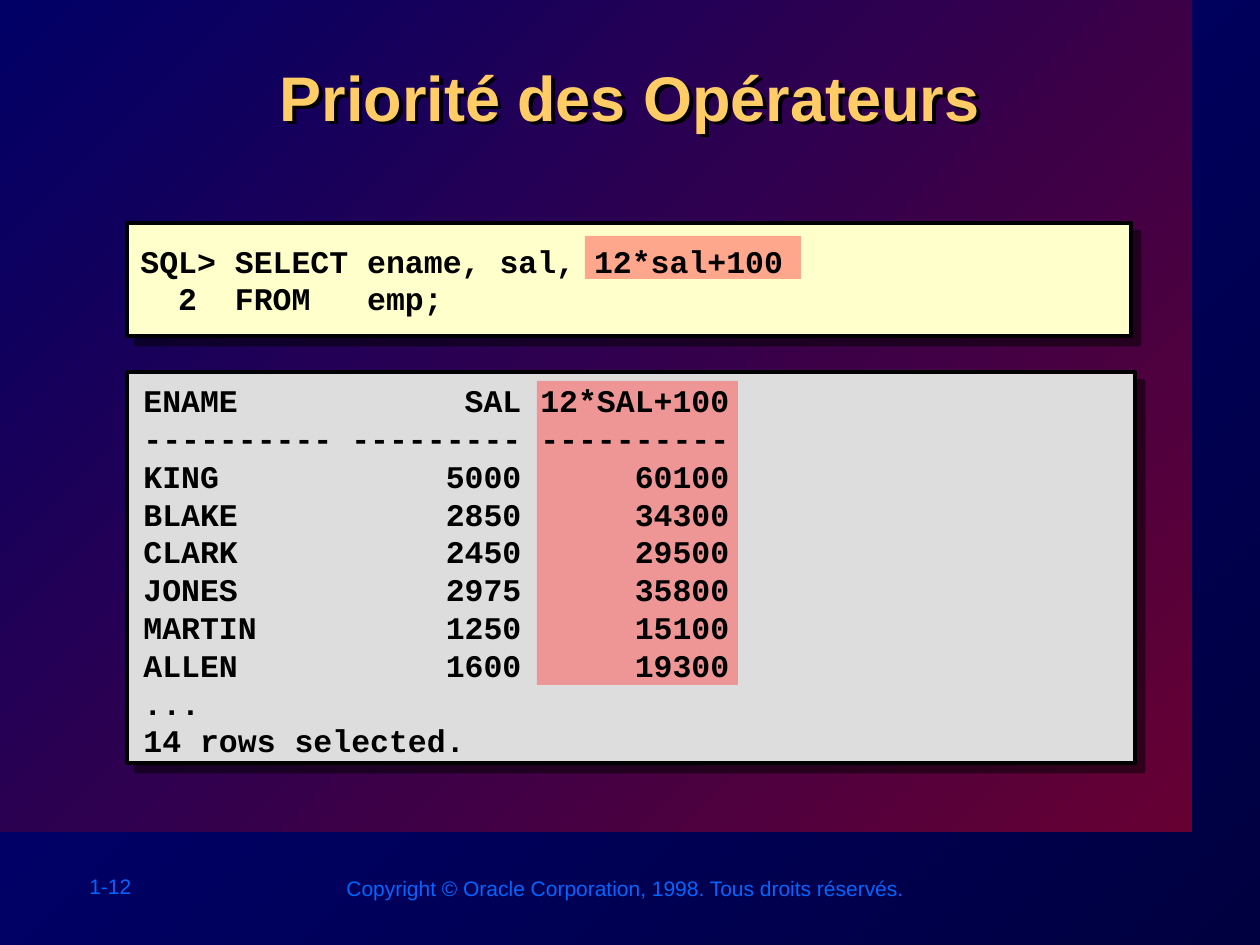
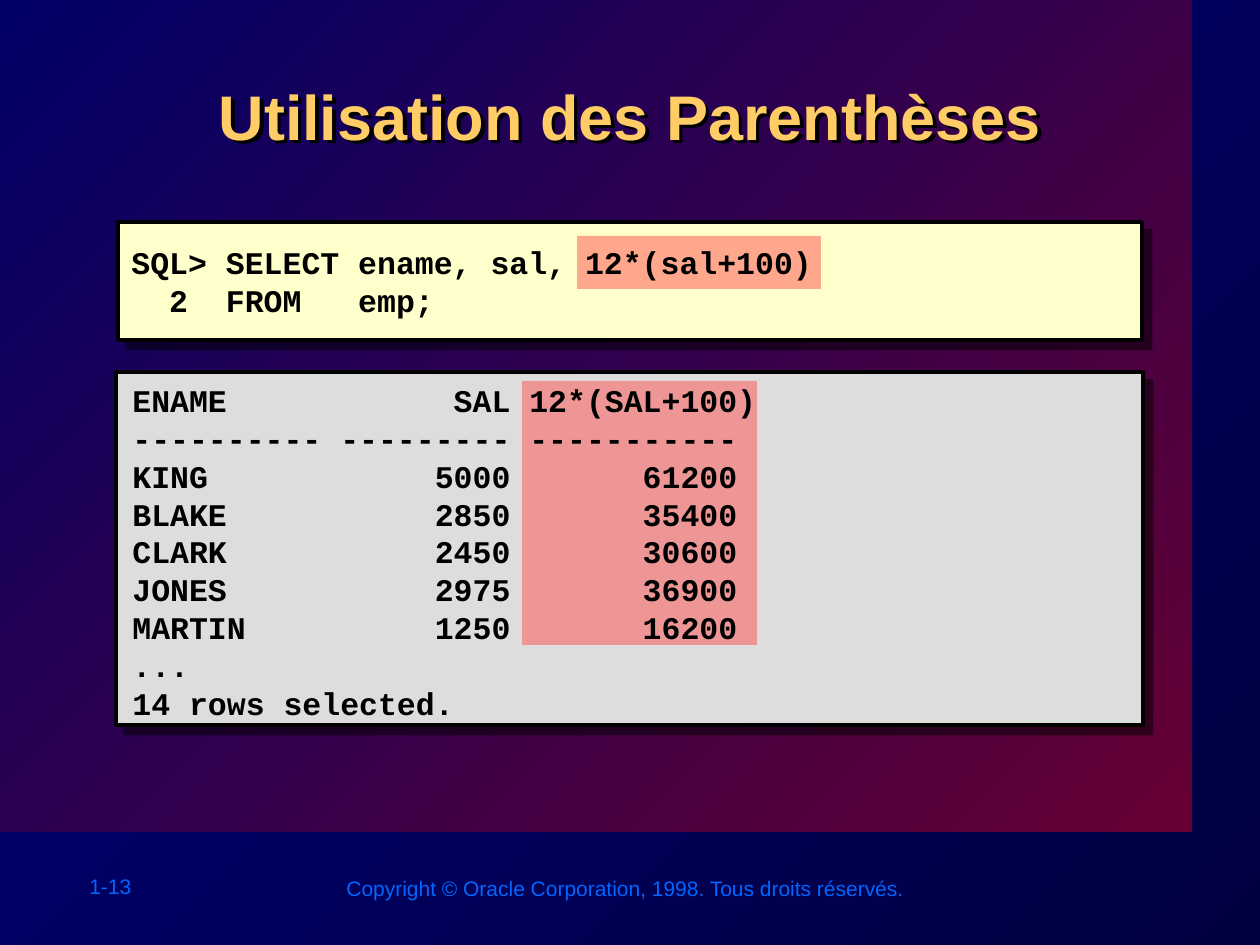
from lxml import etree
from pptx import Presentation
from pptx.dml.color import RGBColor
from pptx.enum.shapes import MSO_SHAPE
from pptx.enum.text import MSO_ANCHOR, PP_ALIGN
from pptx.oxml.ns import qn
from pptx.util import Emu, Pt

RECTANGLE = MSO_SHAPE.RECTANGLE
TOP, MIDDLE = MSO_ANCHOR.TOP, MSO_ANCHOR.MIDDLE
LEFT, CENTER = PP_ALIGN.LEFT, PP_ALIGN.CENTER

EMU_PER_INCH = 914400
PX_PER_INCH = 126
SLIDE_SIZE = (1260, 945)

BLACK = RGBColor(0x00, 0x00, 0x00)
BACKGROUND_START = RGBColor(0x00, 0x00, 0x80)
BACKGROUND_END = RGBColor(0x00, 0x00, 0x40)
PANEL_START = RGBColor(0x00, 0x00, 0x66)
PANEL_END = RGBColor(0x66, 0x00, 0x33)
TITLE_GOLD = RGBColor(0xFF, 0xCC, 0x66)
FOOTER_BLUE = RGBColor(0x00, 0x66, 0xFF)
QUERY_CREAM = RGBColor(0xFF, 0xFF, 0xCC)
RESULT_GREY = RGBColor(0xDD, 0xDD, 0xDD)
HIGHLIGHT_RED = RGBColor(0xFF, 0x50, 0x50)

TITLE_FONT = ("Arial", 36, True, TITLE_GOLD)
FOOTER_FONT = ("Arial", 12, False, FOOTER_BLUE)
CODE_FONT = ("Courier New", 18, True, BLACK)

COPYRIGHT = "Copyright © Oracle Corporation, 1998. Tous droits réservés."

# Boxes are (left, top, width, height); highlights are relative to their panel.
SLIDES = [
    {
        "title": "Priorité des Opérateurs",
        "title_top": 52,
        "page": "1-12",
        "query": """SQL> SELECT ename, sal, 12*sal+100
  2  FROM   emp;""",
        "query_box": (127, 223, 1004, 113),
        "query_highlight": (458, 13, 216, 43),
        "result": """ENAME            SAL 12*SAL+100
---------- --------- ----------
KING            5000      60100
BLAKE           2850      34300
CLARK           2450      29500
JONES           2975      35800
MARTIN          1250      15100
ALLEN           1600      19300
...
14 rows selected.""",
        "result_box": (127, 372, 1008, 391),
        "result_highlight": (410, 9, 201, 304),
    },
    {
        "title": "Utilisation des Parenthèses",
        "title_top": 71,
        "page": "1-13",
        "query": """SQL> SELECT ename, sal, 12*(sal+100)
  2  FROM   emp;""",
        "query_box": (118, 222, 1024, 118),
        "query_highlight": (459, 14, 244, 53),
        "result": """ENAME            SAL 12*(SAL+100)
---------- --------- -----------
KING            5000       61200
BLAKE           2850       35400
CLARK           2450       30600
JONES           2975       36900
MARTIN          1250       16200
...
14 rows selected.""",
        "result_box": (116, 372, 1027, 353),
        "result_highlight": (406, 9, 235, 264),
    },
]


def px(length):
    return Emu(round(length * EMU_PER_INCH / PX_PER_INCH))


def fill_gradient(fill, start, end):
    """Fill from the top left corner to the bottom right one."""
    fill.gradient()
    fill.gradient_angle = 315
    for stop, color in zip(fill.gradient_stops, (start, end)):
        stop.color.rgb = color


def set_alpha(color_element, percent):
    alpha = etree.SubElement(color_element, qn("a:alpha"))
    alpha.set("val", str(percent * 1000))


def add_shadow(shape, distance, opacity):
    """Cast a sharp black shadow, distance in points, down to the right."""
    effects = etree.SubElement(shape.element.spPr, qn("a:effectLst"))
    shadow = etree.SubElement(effects, qn("a:outerShdw"), blurRad="0",
                              dist=str(Pt(distance)), dir="2700000",
                              algn="ctr", rotWithShape="0")
    color = etree.SubElement(shadow, qn("a:srgbClr"), val=str(BLACK))
    set_alpha(color, opacity)


def add_rectangle(slide, box):
    shape = slide.shapes.add_shape(RECTANGLE, *map(px, box))
    shape.line.fill.background()
    return shape


def add_text(slide, box, text, font, align=LEFT, anchor=TOP, wrap=True):
    shape = slide.shapes.add_textbox(*map(px, box))
    frame = shape.text_frame
    frame.word_wrap = wrap
    frame.vertical_anchor = anchor
    frame.text = text
    name, size, bold, color = font
    for paragraph in frame.paragraphs:
        paragraph.alignment = align
        for run in paragraph.runs:
            run.font.name = name
            run.font.size = Pt(size)
            run.font.bold = bold
            run.font.color.rgb = color
    return shape


def add_backdrop(slide):
    fill_gradient(slide.background.fill, BACKGROUND_START, BACKGROUND_END)
    panel = add_rectangle(slide, (0, 0, 1192, 832))
    panel.shadow.inherit = False
    fill_gradient(panel.fill, PANEL_START, PANEL_END)


def add_footer(slide, page):
    add_text(slide, (77, 867, 140, 38), page, FOOTER_FONT, wrap=False)
    add_text(slide, (334, 869, 587, 38), COPYRIGHT, FOOTER_FONT, wrap=False)


def add_title(slide, top, text):
    title = add_text(slide, (127, top, 1006, 121), text, TITLE_FONT, CENTER)
    add_shadow(title, 3, 100)


def add_code_panel(slide, box, color, highlight, code, offset, anchor):
    """Stack a panel, its translucent highlight and its code."""
    left, top, width, height = box
    panel = add_rectangle(slide, box)
    panel.fill.solid()
    panel.fill.fore_color.rgb = color
    panel.line.color.rgb = BLACK
    panel.line.width = Pt(2)
    add_shadow(panel, 7.1, 50)

    mark_left, mark_top, mark_width, mark_height = highlight
    mark = add_rectangle(
        slide, (left + mark_left, top + mark_top, mark_width, mark_height))
    mark.shadow.inherit = False
    mark.fill.solid()
    mark.fill.fore_color.rgb = HIGHLIGHT_RED
    set_alpha(mark.element.spPr.find(f".//{qn('a:srgbClr')}"), 50)

    offset_x, offset_y = offset
    add_text(slide, (left + offset_x, top + offset_y, width, height),
             code, CODE_FONT, anchor=anchor)


def build_slide(presentation, content):
    slide = presentation.slides.add_slide(presentation.slide_layouts[6])
    add_backdrop(slide)
    add_footer(slide, content["page"])
    add_title(slide, content["title_top"], content["title"])
    add_code_panel(slide, content["query_box"], QUERY_CREAM,
                   content["query_highlight"], content["query"],
                   (1, 0), MIDDLE)
    add_code_panel(slide, content["result_box"], RESULT_GREY,
                   content["result_highlight"], content["result"],
                   (4, 3), TOP)


def main():
    presentation = Presentation()
    presentation.slide_width, presentation.slide_height = map(px, SLIDE_SIZE)
    for content in SLIDES:
        build_slide(presentation, content)
    presentation.save("out.pptx")


if __name__ == "__main__":
    main()
